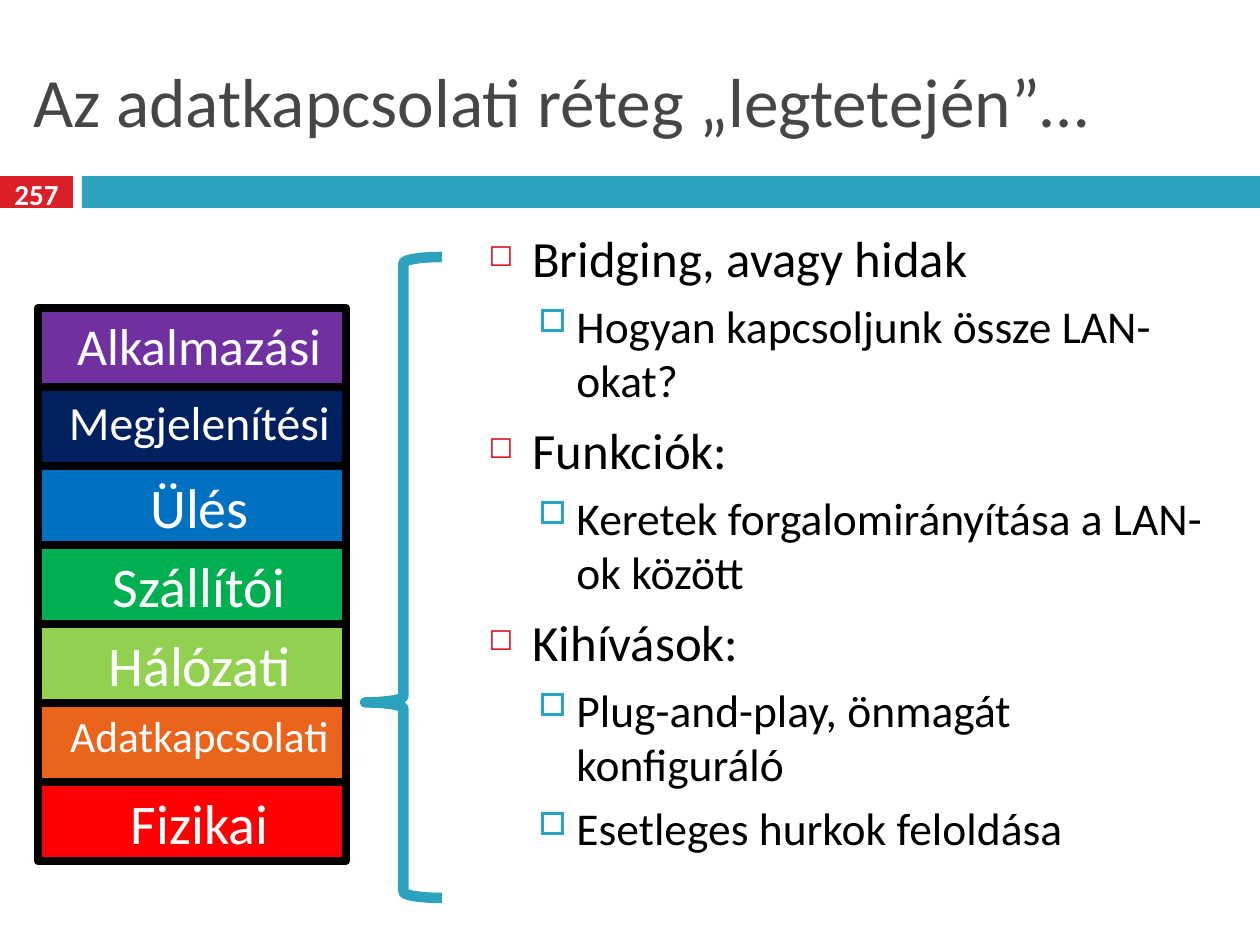
from lxml.etree import SubElement
from pptx import Presentation
from pptx.dml.color import RGBColor
from pptx.enum.shapes import MSO_SHAPE
from pptx.enum.text import MSO_ANCHOR, PP_ALIGN
from pptx.oxml.ns import qn
from pptx.util import Emu, Pt

EMU_PER_INCH = 914400
PX_PER_INCH = 126

RED = RGBColor(0xDA, 0x1F, 0x28)
TEAL = RGBColor(0x2D, 0xA2, 0xBF)
GRAY = RGBColor(0x46, 0x46, 0x46)
BLACK = RGBColor(0x00, 0x00, 0x00)
WHITE = RGBColor(0xFF, 0xFF, 0xFF)
PURPLE = RGBColor(0x70, 0x30, 0xA0)
NAVY = RGBColor(0x00, 0x20, 0x60)
BLUE = RGBColor(0x00, 0x70, 0xC0)
GREEN = RGBColor(0x00, 0xB0, 0x50)
LIME = RGBColor(0x92, 0xD0, 0x50)
ORANGE = RGBColor(0xEB, 0x64, 0x1B)
BRIGHT_RED = RGBColor(0xFF, 0x00, 0x00)


def px(length):
    return Emu(length * EMU_PER_INCH // PX_PER_INCH)


def add_text(paragraph, text, size, color, bold=False):
    run = paragraph.add_run()
    run.text = text
    run.font.name = "Calibri"
    run.font.size = Pt(size)
    run.font.color.rgb = color
    run.font.bold = bold


presentation = Presentation()
presentation.slide_width = px(1260)
presentation.slide_height = px(945)
slide = presentation.slides.add_slide(presentation.slide_layouts[6])
shapes = slide.shapes

# Header bars
for left, width, color in [(0, 73, RED), (82, 1178, TEAL)]:
    bar = shapes.add_shape(MSO_SHAPE.RECTANGLE, px(left), px(176), px(width), px(32))
    bar.shadow.inherit = False
    bar.fill.solid()
    bar.fill.fore_color.rgb = color
    bar.line.fill.background()

# Title and slide number
headings = [
    (21, 32, 1218, 136, "Az adatkapcsolati réteg „legtetején”…", 39.6, GRAY, False, PP_ALIGN.LEFT),
    (0, 173, 73, 41, "257", 16.6, WHITE, True, PP_ALIGN.CENTER),
]
for left, top, width, height, text, size, color, bold, alignment in headings:
    box = shapes.add_textbox(px(left), px(top), px(width), px(height))
    frame = box.text_frame
    frame.word_wrap = True
    frame.vertical_anchor = MSO_ANCHOR.MIDDLE
    frame.paragraphs[0].alignment = alignment
    add_text(frame.paragraphs[0], text, size, color, bold)

# Bulleted list: indent px, hanging px, space before, bullet, colour, bullet %, size
levels = [
    (44, 44, 7, "◻", RED, 60, 29),
    (88, 38, 5.5, "□", TEAL, 70, 26),
]
items = [
    (0, "Bridging, avagy hidak"),
    (1, "Hogyan kapcsoljunk össze LAN-okat?"),
    (0, "Funkciók:"),
    (1, "Keretek forgalomirányítása a LAN-ok között"),
    (0, "Kihívások:"),
    (1, "Plug-and-play, önmagát konfiguráló"),
    (1, "Esetleges hurkok feloldása"),
]
body = shapes.add_textbox(px(476), px(221), px(764), px(703))
frame = body.text_frame
frame.word_wrap = True
for index, (level, text) in enumerate(items):
    indent, hanging, space, bullet, color, percent, size = levels[level]
    paragraph = frame.paragraphs[0] if index == 0 else frame.add_paragraph()
    paragraph.level = level
    if index:
        paragraph.space_before = Pt(space)
    properties = paragraph._p.get_or_add_pPr()
    properties.set("marL", str(px(indent)))
    properties.set("indent", str(-px(hanging)))
    bullet_color = SubElement(properties, qn("a:buClr"))
    SubElement(bullet_color, qn("a:srgbClr"), val=str(color))
    SubElement(properties, qn("a:buSzPct"), val=str(percent * 1000))
    SubElement(properties, qn("a:buChar"), char=bullet)
    add_text(paragraph, text, size, BLACK)

# Layer stack
layers = [
    ("Alkalmazási", 29.6, PURPLE),
    ("Megjelenítési", 27.2, NAVY),
    ("Ülés", 32, BLUE),
    ("Szállítói", 32, GREEN),
    ("Hálózati", 32, LIME),
    ("Adatkapcsolati", 24.8, ORANGE),
    ("Fizikai", 32, BRIGHT_RED),
]
LAYER_HEIGHT = 79
for index, (name, size, color) in enumerate(layers):
    layer = shapes.add_shape(
        MSO_SHAPE.RECTANGLE, px(38), px(308 + index * LAYER_HEIGHT), px(308), px(LAYER_HEIGHT)
    )
    layer.shadow.inherit = False
    layer.fill.solid()
    layer.fill.fore_color.rgb = color
    layer.line.color.rgb = BLACK
    layer.line.width = Pt(4.5)
    layer.text_frame.word_wrap = True
    layer.text_frame.vertical_anchor = MSO_ANCHOR.TOP
    paragraph = layer.text_frame.paragraphs[0]
    paragraph.alignment = PP_ALIGN.CENTER
    paragraph._p.get_or_add_pPr().set("marL", str(px(15)))
    add_text(paragraph, name, size, WHITE)

# Brace pointing at the data link layer
brace = shapes.add_shape(MSO_SHAPE.LEFT_BRACE, px(365), px(257), px(77), px(641))
brace.shadow.inherit = False
brace.adjustments[0] = 0.08
brace.adjustments[1] = 0.695
brace.fill.background()
brace.line.color.rgb = TEAL
brace.line.width = Pt(6)

presentation.save("out.pptx")
